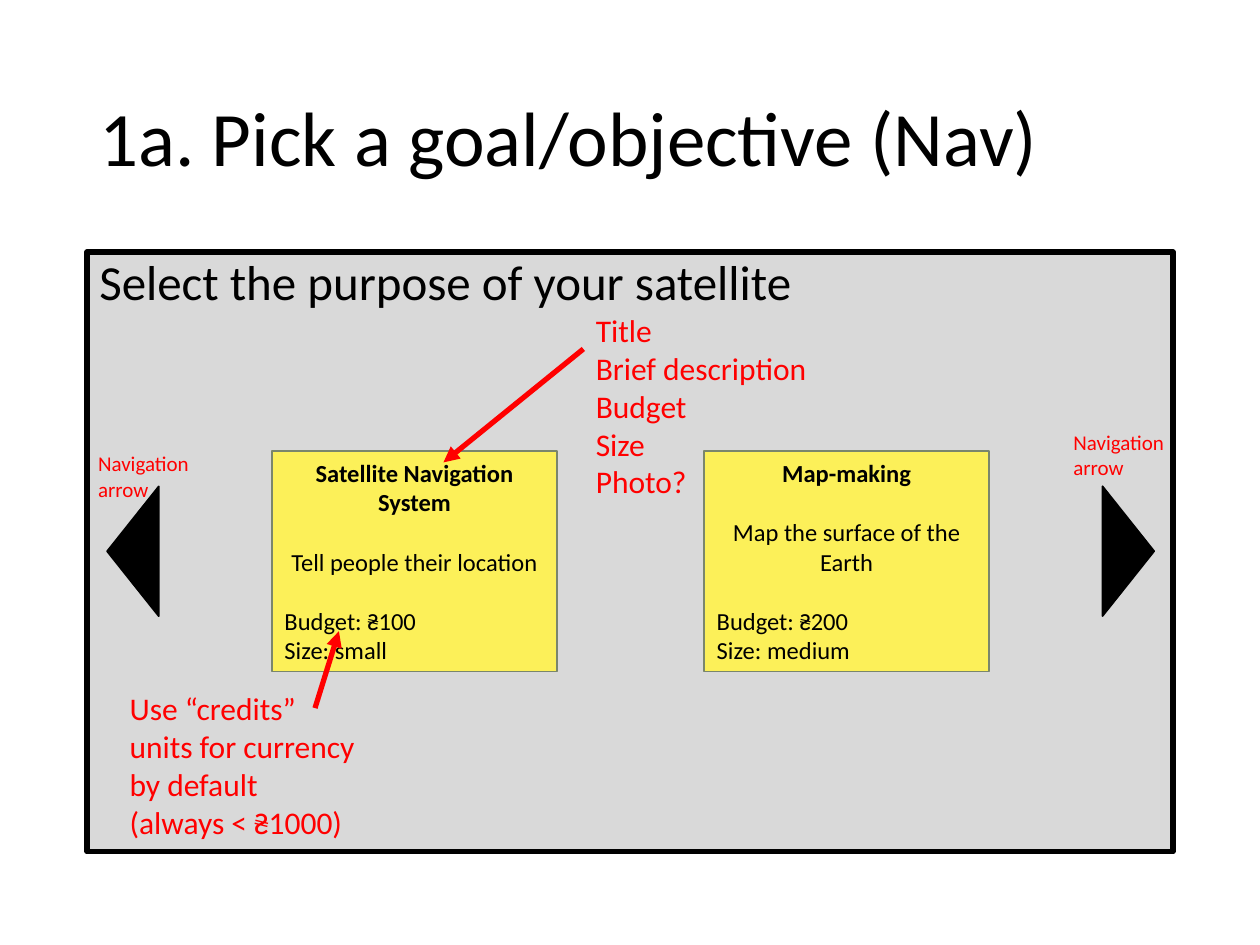
from lxml.etree import SubElement
from pptx import Presentation
from pptx.dml.color import RGBColor
from pptx.enum.shapes import MSO_CONNECTOR as Connector, MSO_SHAPE as Shape
from pptx.enum.text import MSO_ANCHOR as Anchor, PP_ALIGN as Align
from pptx.oxml.ns import qn
from pptx.util import Inches, Pt

COLORS = {
    "ink": "000000",
    "panel": "D9D9D9",
    "card": "FCF059",
    "card_edge": "7A866C",
    "note": "FF0000",
}


class Storyboard:
    font = "Calibri"
    card_size = (2.26, 1.75)
    card_text = 14

    def __init__(self, slide):
        self.slide = slide

    def color(self, key):
        return RGBColor.from_string(COLORS[key])

    def add_lines(self, frame, lines, size, color="ink", anchor=Anchor.TOP, spacing=None):
        frame.word_wrap = True
        frame.vertical_anchor = anchor
        for index, (text, align, bold, before) in enumerate(lines):
            paragraph = frame.paragraphs[0] if index == 0 else frame.add_paragraph()
            paragraph.alignment = align
            paragraph.space_before = Pt(before)
            if spacing:
                paragraph.line_spacing = spacing
            run = paragraph.add_run()
            run.text = text
            run.font.name = self.font
            run.font.size = Pt(size)
            run.font.bold = bold
            run.font.color.rgb = self.color(color)

    def label(self, box, texts, size, color="note", **layout):
        label = self.slide.shapes.add_textbox(*map(Inches, box))
        lines = [(text, Align.LEFT, False, 0) for text in texts]
        self.add_lines(label.text_frame, lines, size, color, **layout)

    def block(self, kind, box, fill, edge, width):
        block = self.slide.shapes.add_shape(kind, *map(Inches, box))
        block.shadow.inherit = False
        block.fill.solid()
        block.fill.fore_color.rgb = self.color(fill)
        block.line.color.rgb = self.color(edge)
        block.line.width = Pt(width)
        return block

    def panel(self, box, heading):
        panel = self.block(Shape.RECTANGLE, box, "panel", "ink", 3)
        self.add_lines(panel.text_frame, [(heading, Align.LEFT, False, 0)], 28, spacing=0.9)

    def card(self, left, title, description, budget, size):
        card = self.block(Shape.RECTANGLE, (left, 3.58, *self.card_size), "card", "card_edge", 1)
        gap = 17
        lines = [
            (title, Align.CENTER, True, 0),
            (description, Align.CENTER, False, gap),
            (f"Budget: {budget}", Align.LEFT, False, gap),
            (f"Size: {size}", Align.LEFT, False, 0),
        ]
        self.add_lines(card.text_frame, lines, self.card_text, anchor=Anchor.MIDDLE)

    def nav_arrow(self, left, rotation):
        triangle = self.block(Shape.ISOSCELES_TRIANGLE, (left, 4.17, 1.03, 0.41), "ink", "ink", 1)
        triangle.rotation = rotation

    def pointer(self, start, end):
        pointer = self.slide.shapes.add_connector(
            Connector.STRAIGHT, *map(Inches, (*start, *end)))
        pointer.line.color.rgb = self.color("note")
        pointer.line.width = Pt(3)
        properties = pointer._element.spPr
        SubElement(properties.find(qn("a:ln")), qn("a:tailEnd"), type="triangle")
        SubElement(properties, qn("a:effectLst"))


def main():
    deck = Presentation()
    deck.slide_width, deck.slide_height = Inches(10), Inches(7.5)
    board = Storyboard(deck.slides.add_slide(deck.slide_layouts[6]))

    board.label((0.69, 0.4, 8.62, 1.45), ["1a. Pick a goal/objective (Nav)"], 44,
                "ink", anchor=Anchor.MIDDLE, spacing=0.9)
    board.panel((0.69, 2, 8.62, 4.76), "Select the purpose of your satellite")
    board.slide.shapes[-1].text_frame.vertical_anchor = Anchor.TOP

    board.card(5.59, "Map-making", "Map the surface of the Earth", "₴200", "medium")
    board.nav_arrow(8.44, 90)
    board.nav_arrow(0.54, 270)
    board.card(2.16, "Satellite Navigation System", "Tell people their location", "₴100", "small")

    board.pointer((4.63, 2.77), (3.52, 3.67))
    board.label((4.63, 2.42, 2.02, 1.62),
                ["Title", "Brief description", "Budget", "Size", "Photo?"], 18)
    board.pointer((2.5, 5.62), (2.69, 5.01))
    board.label((0.93, 5.42, 2.02, 1.31),
                ["Use “credits” units for currency by default (always < ₴1000)"], 18)
    for box in ((8.42, 3.36, 0.99, 0.5), (0.68, 3.53, 0.94, 0.5)):
        board.label(box, ["Navigation arrow"], 12)

    deck.save("out.pptx")


if __name__ == "__main__":
    main()
